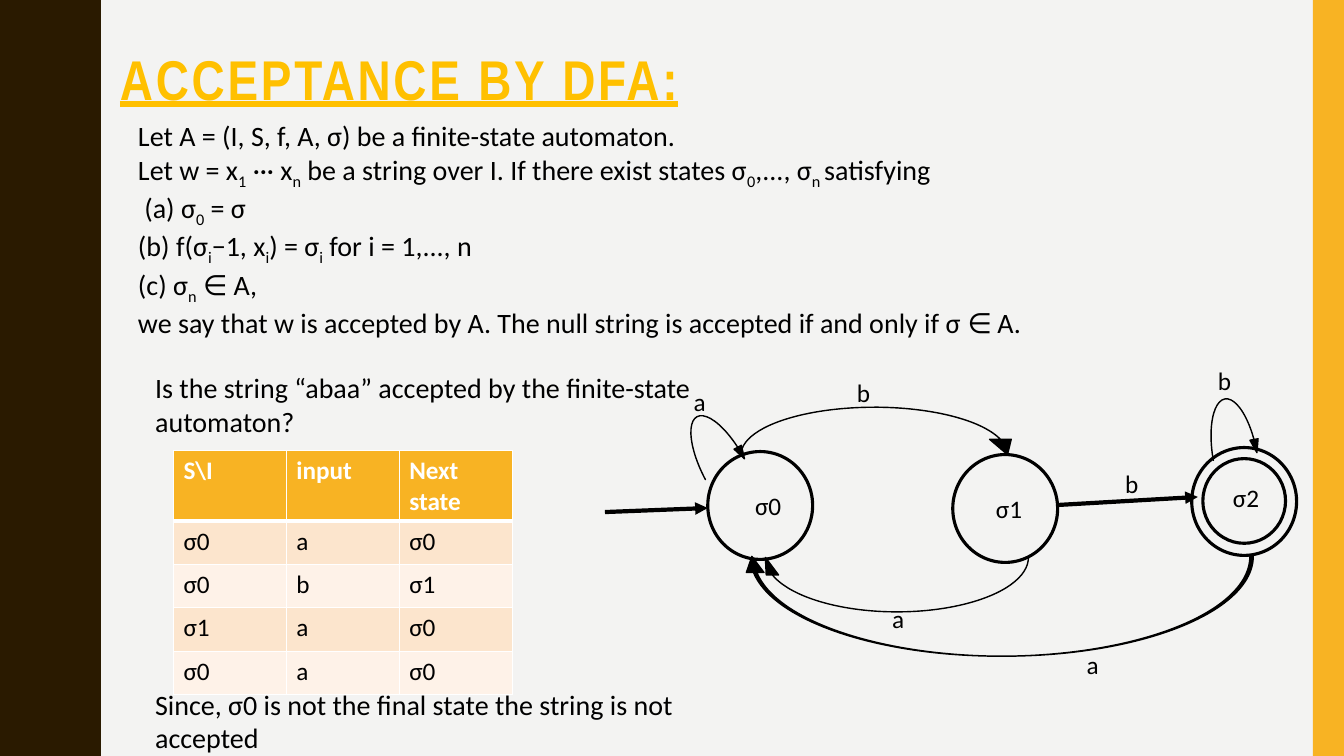
"""Build the slide on acceptance of a string by a deterministic finite automaton."""
from lxml.etree import SubElement
from pptx import Presentation
from pptx.dml.color import RGBColor
from pptx.enum.shapes import MSO_CONNECTOR as CONNECTOR, MSO_SHAPE as SHAPE
from pptx.enum.text import MSO_ANCHOR as ANCHOR, MSO_AUTO_SIZE as AUTO_SIZE
from pptx.oxml.ns import qn
from pptx.util import Inches, Pt

BLACK, WHITE, GOLD = "000000", "FFFFFF", "F8B323"


def color(hex_code):
    """Turn a hex string into a colour."""
    return RGBColor.from_string(hex_code)


def write(frame, text, size=18, font="Calibri", ink=BLACK, bold=False, underline=False, spacing=0):
    """Fill a text frame line by line; text between underscores is subscript."""
    frame.word_wrap = True
    for index, line in enumerate(text.split("\n")):
        paragraph = frame.add_paragraph() if index else frame.paragraphs[0]
        for position, part in enumerate(line.split("_")):
            if not part:
                continue
            run = paragraph.add_run()
            run.text = part
            run.font.size, run.font.name = Pt(size), font
            run.font.bold, run.font.underline = bold, underline
            run.font.color.rgb = color(ink)
            properties = run._r.get_or_add_rPr()
            if position % 2:
                properties.set("baseline", "-25000")
            if spacing:
                properties.set("spc", str(spacing * 100))


presentation = Presentation()
presentation.slide_width, presentation.slide_height = Inches(13.33), Inches(7.5)
slide = presentation.slides.add_slide(presentation.slide_layouts[5])
slide.background.fill.solid()
slide.background.fill.fore_color.rgb = color("F3F3F2")
shapes = slide.shapes

# Wavy left band: one half wave, mirrored and repeated
half_wave = [(0.78, 0), (0.78, 0.07), (0.79, 0.14), (0.8, 0.2), (0.81, 0.25), (0.85, 0.33),
             (0.89, 0.42), (0.93, 0.5), (0.95, 0.55), (0.96, 0.61), (0.97, 0.68), (0.97, 0.75)]
wave = half_wave + [(x, 1.5 - y) for x, y in reversed(half_wave[:-1])]
edge = [(x, y + 1.5 * period) for period in range(5) for x, y in wave]
builder = shapes.build_freeform(0, 0, scale=Inches(1))
builder.add_line_segments(edge + [(0, 7.5)], close=True)
right_band = shapes.add_shape(SHAPE.RECTANGLE, Inches(13.02), 0, Inches(0.31), Inches(7.5))
for band, fill in ((builder.convert_to_shape(), "2A1A00"), (right_band, GOLD)):
    band.shadow.inherit = False
    band.fill.solid()
    band.fill.fore_color.rgb = color(fill)
    band.line.fill.background()

title = shapes.title
title.left, title.top, title.width, title.height = map(Inches, (1.09, 0.47, 11.71, 0.98))
title.text_frame.vertical_anchor = ANCHOR.TOP
title.text_frame.auto_size = AUTO_SIZE.NONE
write(title.text_frame, "ACCEPTANCE BY DFA:", size=40, font="Arial Narrow", ink="FFC000",
      bold=True, underline=True, spacing=2)
title.text_frame.paragraphs[0].line_spacing = 0.9
title.text_frame.paragraphs[0].alignment = 1

definition = """Let A = (I, S, f, A, σ) be a finite-state automaton.
Let w = x_1_ ··· x_n_ be a string over I. If there exist states σ_0_,..., σ_n _satisfying
 (a) σ_0_ = σ
(b) f(σ_i_−1, x_i_) = σ_i_ for i = 1,..., n
(c) σ_n_ ∈ A,
we say that w is accepted by A. The null string is accepted if and only if σ ∈ A."""

# Transitions, states and their labels
transitions = [
    (7.35, 4.04, 2.75, 0.47, 0, (0, 0.457, 0.322)),
    (6.83, 4.09, 0.48, 0.59, 332, (0, 0.17, 0.277)),
    (7.37, 5.52, 5.06, 0.99, 180, (0.034, 0.176, 0.161)),
    (7.53, 5.53, 2.67, 0.54, 180, (0, 0.226, 0.322)),
    (11.98, 3.95, 0.48, 0.58, 349.9, (0, 0.17, 0.277)),
]
for left, top, width, height, rotation, adjustments in transitions:
    arrow = shapes.add_shape(SHAPE.CURVED_DOWN_ARROW, *map(Inches, (left, top, width, height)))
    arrow.rotation = rotation
    for index, value in enumerate(adjustments):
        arrow.adjustments[index] = value
    arrow.shadow.inherit = False
    arrow.fill.solid()
    arrow.fill.fore_color.rgb = arrow.line.color.rgb = color(BLACK)
    arrow.line.width = Pt(1)

for left, top, width, height in ((7.02, 4.48, 1.04, 1.07), (9.45, 4.51, 1.04, 1.07),
                                 (11.82, 4.44, 1.04, 1.07), (11.93, 4.55, 0.82, 0.84)):
    state = shapes.add_shape(SHAPE.OVAL, *map(Inches, (left, top, width, height)))
    state.shadow.inherit = False
    state.fill.background()
    state.line.color.rgb = color(BLACK)
    state.line.width = Pt(2.25)

for ends in ((6, 5.08, 7.02, 5.04), (10.49, 5.01, 11.88, 4.93)):
    connector = shapes.add_connector(CONNECTOR.STRAIGHT, *map(Inches, ends))
    connector.line.color.rgb = color(BLACK)
    connector.line.width = Pt(3)
    SubElement(connector.line._get_or_add_ln(), qn("a:tailEnd"), type="triangle")
    SubElement(connector._element.spPr, qn("a:effectLst"))

texts = [
    (1.27, 1.13, 10.79, 2.12, 20, definition),
    (1.44, 3.63, 5.74, 0.77, 20, "Is the string “abaa” accepted by the finite-state automaton?"),
    (1.44, 6.77, 5.74, 0.77, 20, "Since, σ0 is not the final state the string is not accepted"),
    (7.39, 4.82, 0.61, 0.4, 18, "σ0"),
    (9.78, 4.84, 0.61, 0.4, 18, "σ1"),
    (12.13, 4.74, 0.61, 0.4, 18, "σ2"),
    (6.78, 3.78, 0.71, 0.4, 18, "a"),
    (8.75, 5.94, 0.71, 0.4, 18, "a"),
    (10.68, 6.39, 0.71, 0.4, 18, "a"),
    (8.4, 3.69, 0.71, 0.4, 18, "b"),
    (11.06, 4.6, 0.71, 0.4, 18, "b"),
    (11.98, 3.58, 0.71, 0.4, 18, "b"),
]
for left, top, width, height, size, text in texts:
    box = shapes.add_textbox(*map(Inches, (left, top, width, height)))
    write(box.text_frame, text, size=size)

# Trace of the string through the automaton
trace = [("S\\I", "input", "Next state"), ("σ0", "a", "σ0"), ("σ0", "b", "σ1"),
         ("σ1", "a", "σ0"), ("σ0", "a", "σ0")]
table = shapes.add_table(5, 3, *map(Inches, (1.72, 4.47, 3.36, 2.36))).table
for column in table.columns:
    column.width = Inches(1.12)
for row_index, values in enumerate(trace):
    header = row_index == 0
    table.rows[row_index].height = Inches(0.69 if header else 0.43)
    for column_index, value in enumerate(values):
        cell = table.cell(row_index, column_index)
        for side in "LRTB":
            thick = (row_index, side) in ((0, "B"), (1, "T"))
            border = SubElement(cell._tc.get_or_add_tcPr(), qn(f"a:ln{side}"),
                                w=str(Pt(3 if thick else 1)))
            SubElement(SubElement(border, qn("a:solidFill")), qn("a:srgbClr"), val=WHITE)
        cell.fill.solid()
        cell.fill.fore_color.rgb = color(GOLD if header else "FCE5CD" if row_index % 2 else "FEF2E8")
        write(cell.text_frame, value, ink=WHITE if header else BLACK, bold=header)

presentation.save("out.pptx")
